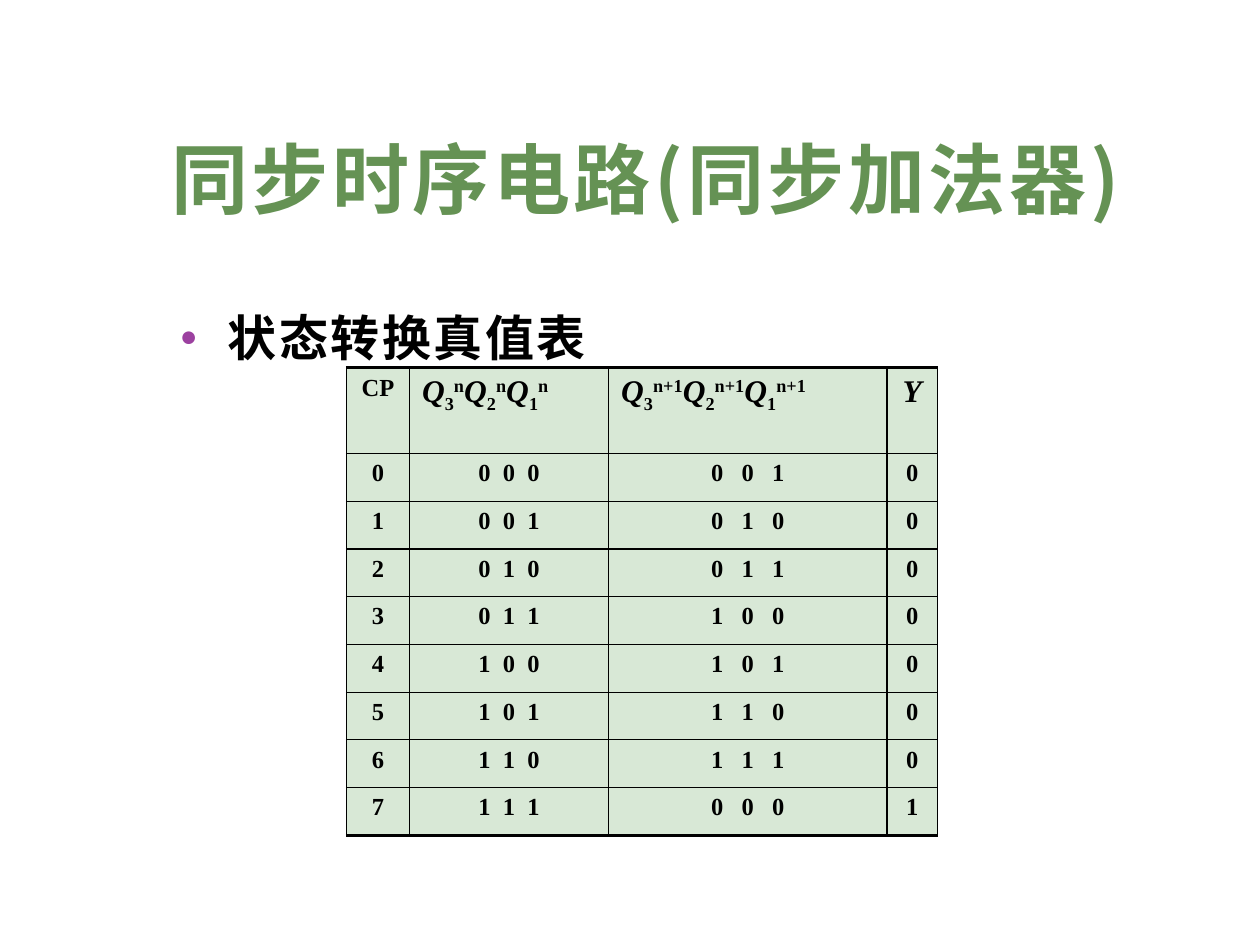
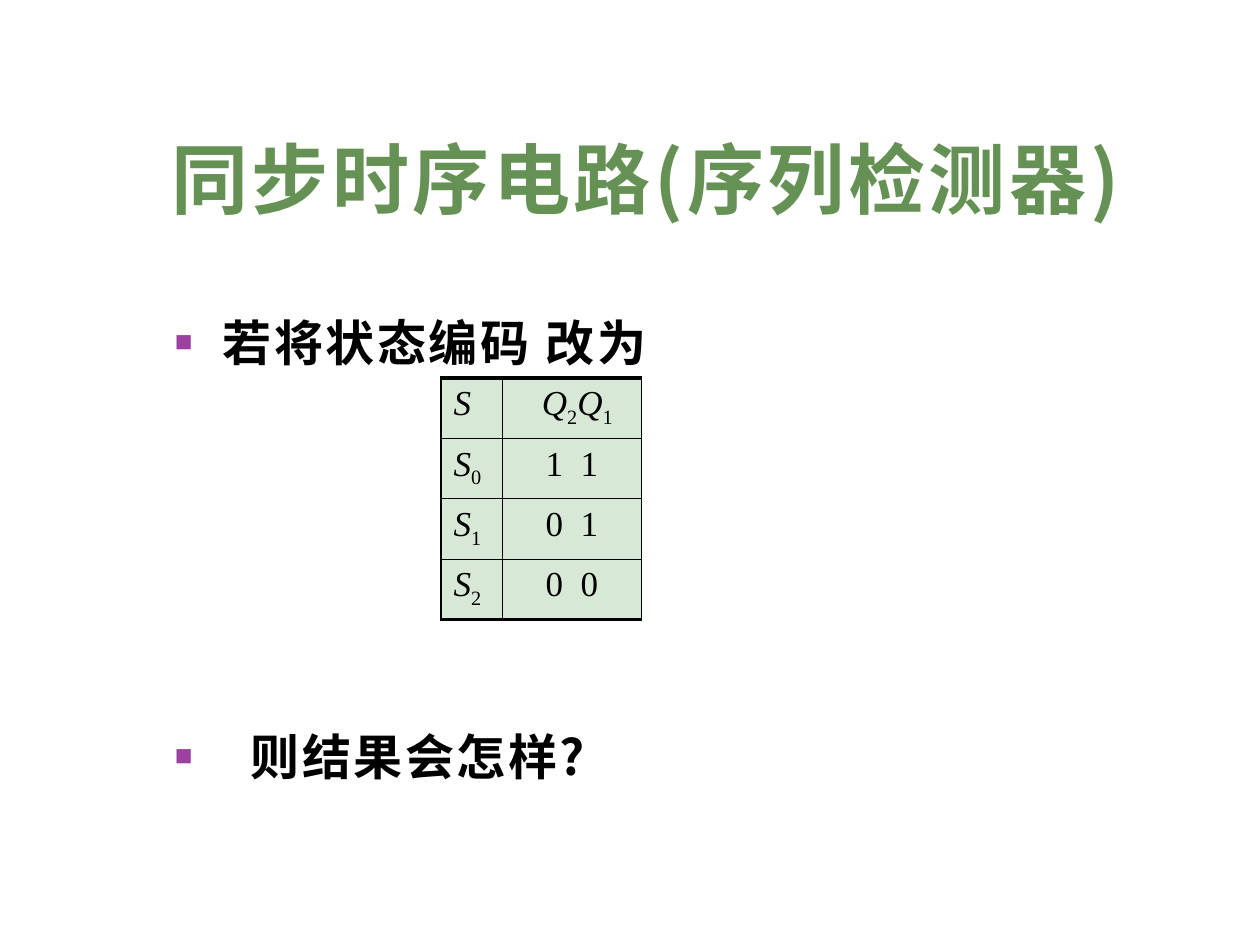
"""Build two slides on synchronous sequential circuits with state tables."""
from dataclasses import dataclass

from lxml.etree import SubElement
from pptx import Presentation
from pptx.dml.color import RGBColor as Rgb
from pptx.enum.text import MSO_ANCHOR as Anchor, PP_ALIGN as Align
from pptx.oxml.ns import qn
from pptx.util import Inches, Pt


@dataclass(frozen=True)
class Theme:
    heading: str = "659254"
    ink: str = "000000"
    bullet: str = "9C41A0"
    cell: str = "D8E8D6"
    cjk_font: str = "Noto Sans CJK SC"
    latin_font: str = "Times New Roman"
    title_size: int = 44
    body_size: int = 28
    thin: float = 0.75
    medium: float = 1
    thick: float = 2


THEME = Theme()


def symbols(name, subscripts, superscript=""):
    return [(name, digit, superscript) for digit in subscripts]


COUNTER = {
    "title": "同步时序电路(同步加法器)",
    "body": {"at": (1.33, 2.25, 8.5, 0.75), "mark": "●",
             "points": [{"text": "状态转换真值表", "indent": 0.38, "before": 0}]},
    "table": {
        "at": (2.75, 2.92), "columns": (0.5, 1.58, 2.21, 0.4),
        "rows": [0.68] + [(3.71 - 0.68) / 8] * 8,
        "head": ["CP", symbols("Q", "321", "n"), symbols("Q", "321", "n+1"), symbols("Y", [""])],
        "head_align": (Align.CENTER, Align.LEFT, Align.LEFT, Align.CENTER),
        "body_align": (Align.CENTER,) * 4,
        "states": [[str(state), " ".join(f"{state:03b}"),
                    " ".join(f"{(state + 1) % 8:03b}"), str(state // 7)]
                   for state in range(8)],
        "spread": (0, 1.75, 3.5, 0), "head_indent": (0.1,) * 4,
        "symbol_size": 18, "text_size": 14, "bold": True,
    },
}

DETECTOR = {
    "title": "同步时序电路(序列检测器)",
    "body": {"at": (1.29, 2.29, 8.5, 4.5), "mark": "■",
             "points": [{"text": "若将状态编码 改为", "indent": 0.38, "before": 0},
                        {"text": "则结果会怎样?", "indent": 0.6, "before": 193}]},
    "table": {
        "at": (3.5, 3), "columns": (0.49, 1.1), "rows": [0.47] + [0.45] * 3,
        "head": [symbols("S", [""]), symbols("Q", "21")],
        "head_align": (Align.LEFT, Align.LEFT),
        "body_align": (Align.LEFT, Align.CENTER),
        "states": [[symbols("S", "0"), "1 1"], [symbols("S", "1"), "0 1"],
                   [symbols("S", "2"), "0 0"]],
        "spread": (0, 2.5), "head_indent": (0.1, 0.31),
        "symbol_size": 20, "text_size": 20, "bold": False,
    },
}


def write(paragraph, text, *, size, font, color=THEME.ink, bold=False,
          italic=False, spread=0, baseline=0):
    run = paragraph.add_run()
    run.text = text
    run.font.size, run.font.name = Pt(size), font
    run.font.bold, run.font.italic = bold, italic
    run.font.color.rgb = Rgb.from_string(color)
    properties = run._r.get_or_add_rPr()
    properties.set("spc", str(round(spread * 100)))
    properties.set("baseline", str(baseline * 1000))
    east_asian = SubElement(properties, qn("a:ea"))
    east_asian.set("typeface", font)


def add_frame(slide, at, anchor=Anchor.TOP):
    frame = slide.shapes.add_textbox(*map(Inches, at)).text_frame
    frame.word_wrap, frame.vertical_anchor = True, anchor
    return frame


def add_title(slide, title):
    frame = add_frame(slide, (1.26, 0.23, 8.52, 1.6), Anchor.BOTTOM)
    write(frame.paragraphs[0], title, size=THEME.title_size, font=THEME.cjk_font,
          color=THEME.heading, bold=True, spread=2)


def add_bullet(paragraph, mark, indent):
    properties = paragraph._p.get_or_add_pPr()
    properties.set("marL", str(Inches(indent)))
    properties.set("indent", str(-Inches(indent)))
    tint = SubElement(SubElement(properties, qn("a:buClr")), qn("a:srgbClr"))
    tint.set("val", THEME.bullet)
    for tag, key, value in (("buSzPct", "val", "60000"),
                            ("buFont", "typeface", THEME.latin_font),
                            ("buChar", "char", mark)):
        SubElement(properties, qn(f"a:{tag}")).set(key, value)


def add_body(slide, body):
    frame = add_frame(slide, body["at"])
    for index, point in enumerate(body["points"]):
        paragraph = frame.add_paragraph() if index else frame.paragraphs[0]
        add_bullet(paragraph, body["mark"], point["indent"])
        paragraph.line_spacing = 1.3
        if index:
            paragraph.space_before = Pt(point["before"])
        write(paragraph, point["text"], size=THEME.body_size, font=THEME.cjk_font,
              bold=True, spread=1.5)


def add_borders(cell, **widths):
    properties = cell._tc.get_or_add_tcPr()
    for side in "LRTB":
        line = SubElement(properties, qn(f"a:ln{side}"))
        line.set("w", str(Pt(widths[side])))
        SubElement(SubElement(line, qn("a:solidFill")), qn("a:srgbClr")).set("val", THEME.ink)


def fill_cell(cell, content, table, spread):
    paragraph = cell.text_frame.paragraphs[0]
    look = {"font": THEME.latin_font, "bold": table["bold"]}
    if isinstance(content, str):
        write(paragraph, content, size=table["text_size"], spread=spread, **look)
        return
    for name, subscript, superscript in content:
        for text, baseline in ((name, 0), (subscript, -25), (superscript, 30)):
            if text:
                write(paragraph, text, size=table["symbol_size"], italic=baseline == 0,
                      baseline=baseline, **look)


def add_state_table(slide, table):
    columns, rows = table["columns"], table["rows"]
    grid = slide.shapes.add_table(
        len(rows), len(columns), *map(Inches, (*table["at"], sum(columns), sum(rows)))).table
    grid.first_row = grid.horz_banding = False
    for column, width in zip(grid.columns, columns):
        column.width = Inches(width)
    for row, height in zip(grid.rows, rows):
        row.height = Inches(height)
    row_lines = [THEME.thick, THEME.medium] + [THEME.thin] * (len(rows) - 2) + [THEME.thick]
    column_lines = [THEME.thin, THEME.medium] + [THEME.thin] * (len(columns) - 1)
    for r, contents in enumerate([table["head"], *table["states"]]):
        aligns = table["body_align"] if r else table["head_align"]
        for c, content in enumerate(contents):
            cell = grid.cell(r, c)
            add_borders(cell, L=column_lines[c], R=column_lines[c + 1],
                        T=row_lines[r], B=row_lines[r + 1])
            cell.fill.solid()
            cell.fill.fore_color.rgb = Rgb.from_string(THEME.cell)
            if r == 0:
                cell.margin_left = Inches(table["head_indent"][c])
            cell.text_frame.paragraphs[0].alignment = aligns[c]
            fill_cell(cell, content, table, table["spread"][c])


def main():
    deck = Presentation()
    deck.slide_width, deck.slide_height = Inches(10), Inches(7.5)
    for topic in (COUNTER, DETECTOR):
        slide = deck.slides.add_slide(deck.slide_layouts[6])
        add_title(slide, topic["title"])
        add_body(slide, topic["body"])
        add_state_table(slide, topic["table"])
    deck.save("out.pptx")


if __name__ == "__main__":
    main()
